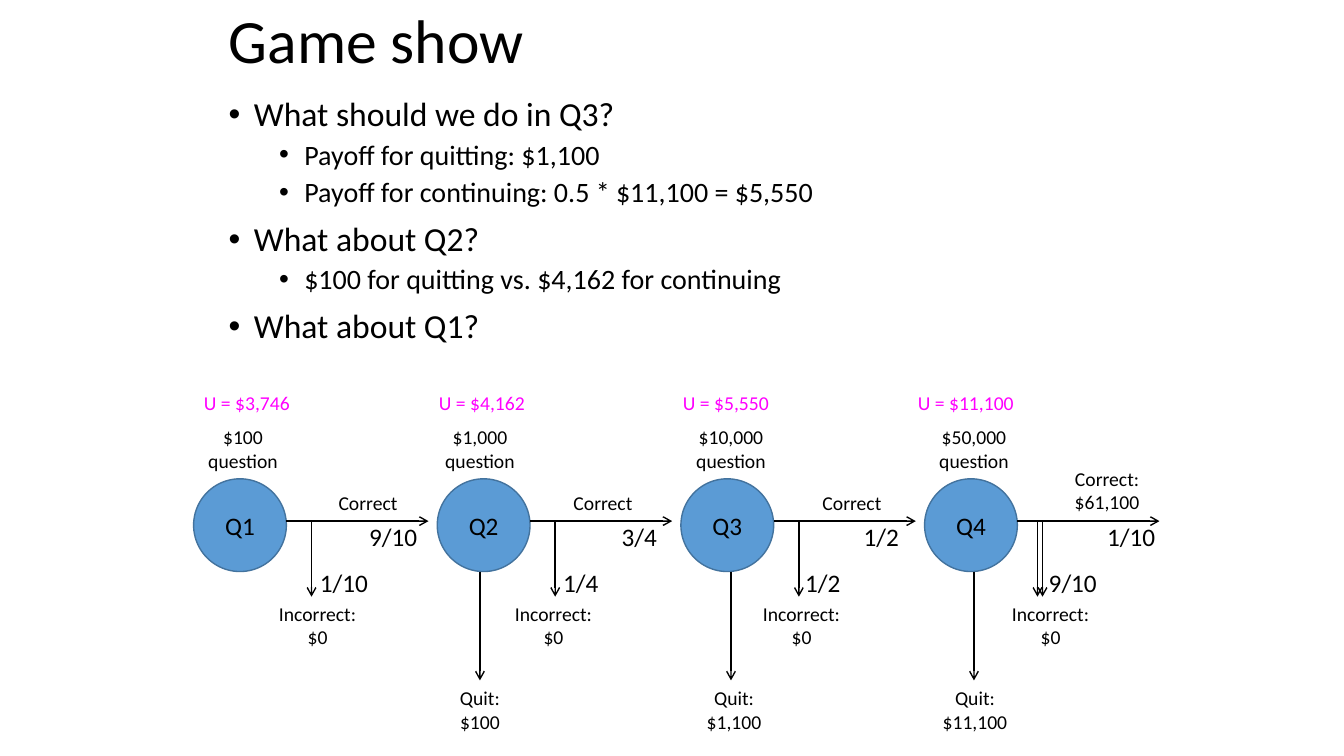
from pptx import Presentation
from pptx.util import Inches, Pt
from pptx.dml.color import RGBColor
from pptx.enum.shapes import MSO_SHAPE, MSO_CONNECTOR
from pptx.enum.text import PP_ALIGN, MSO_ANCHOR
from pptx.oxml.ns import qn
from lxml.etree import SubElement

BLACK = RGBColor(0, 0, 0)
PINK = RGBColor(0xFF, 0, 0xFF)
BLUE = RGBColor(0x5B, 0x9B, 0xD5)
EDGE = RGBColor(0x43, 0x73, 0x9E)
FONT = "Calibri"

TITLE = "Game show"
BODY = [
    (0, "What should we do in Q3?"),
    (1, "Payoff for quitting: $1,100"),
    (1, "Payoff for continuing: 0.5 * $11,100 = $5,550"),
    (0, "What about Q2?"),
    (1, "$100 for quitting vs. $4,162 for continuing"),
    (0, "What about Q1?"),
]
LEVELS = [(24, 10, 0.25), (20, 5, 0.75)]

# Each label: text, centre across the slide
STAGES = [
    dict(util=("U = $3,746", 2.45), prize=("$100 question", 2.41),
         right=("Correct", 3.65), wrong=("Incorrect:\n$0", 3.15),
         win=("9/10", 3.9), lose=("1/10", 3.41)),
    dict(util=("U = $4,162", 4.78), prize=("$1,000 question", 4.76),
         right=("Correct", 5.98), wrong=("Incorrect:\n$0", 5.49),
         win=("3/4", 6.34), lose=("1/4", 5.76), quit=("Quit:\n$100", 4.76)),
    dict(util=("U = $5,550", 7.2), prize=("$10,000 question", 7.25),
         right=("Correct", 8.45), wrong=("Incorrect:\n$0", 7.95),
         win=("1/2", 8.74), lose=("1/2", 8.16), quit=("Quit:\n$1,100", 7.28)),
    dict(util=("U = $11,100", 9.58), prize=("$50,000 question", 9.66),
         right=("Correct:\n$61,100", 10.98), wrong=("Incorrect:\n$0", 10.42),
         win=("1/10", 11.22), lose=("9/10", 10.64), quit=("Quit:\n$11,100", 9.67)),
]

# Each kind of label: top, width, height, size, colour, wrap
KINDS = dict(
    util=(3.83, 1.16, 0.34, 14, PINK, False),
    prize=(4.17, 1.18, 0.57, 14, BLACK, True),
    right=(4.82, 0.91, 0.34, 14, BLACK, False),
    wrong=(5.92, 0.97, 0.57, 14, BLACK, False),
    win=(5.12, 0.68, 0.4, 18, BLACK, False),
    lose=(5.58, 0.68, 0.4, 18, BLACK, False),
    quit=(6.76, 0.85, 0.57, 14, BLACK, False),
)
LEFT, TOP, SIZE, PITCH = 1.92, 4.75, 0.92, 29 / 12
AXIS, DROP, EXIT = 5.17, 5.92, 6.75
ROW = 0.24

deck = Presentation()
deck.slide_width, deck.slide_height = Inches(13.33), Inches(7.5)
slide = deck.slides.add_slide(deck.slide_layouts[6])


def add_run(para, text, size, color=BLACK):
    run = para.add_run()
    run.text = text
    run.font.name, run.font.size = FONT, Pt(size)
    run.font.color.rgb = color


def add_box(x, y, w, h, wrap=True):
    box = slide.shapes.add_textbox(Inches(x), Inches(y), Inches(w), Inches(h))
    box.text_frame.word_wrap = wrap
    return box.text_frame


def next_para(frame, i):
    return frame.add_paragraph() if i else frame.paragraphs[0]


def add_label(kind, text, mid):
    top, w, h, size, color, wrap = KINDS[kind]
    lines = text.split("\n")
    if kind == "right":
        grow = ROW * (len(lines) - 1)
        top, h = top - grow, h + grow
    frame = add_box(mid - w / 2, top, w, h, wrap)
    for i, line in enumerate(lines):
        para = next_para(frame, i)
        para.alignment = PP_ALIGN.CENTER
        add_run(para, line, size, color)


def add_arrow(x1, y1, x2, y2):
    arrow = slide.shapes.add_connector(
        MSO_CONNECTOR.STRAIGHT, Inches(x1), Inches(y1), Inches(x2), Inches(y2))
    arrow.line.color.rgb, arrow.line.width = BLACK, Pt(1)
    SubElement(arrow.line._get_or_add_ln(), qn("a:tailEnd"), type="arrow")
    SubElement(arrow._element.spPr, qn("a:effectLst"))


def add_node(x, name):
    node = slide.shapes.add_shape(
        MSO_SHAPE.OVAL, Inches(x), Inches(TOP), Inches(SIZE), Inches(SIZE))
    node.shadow.inherit = False
    node.fill.solid()
    node.fill.fore_color.rgb = BLUE
    node.line.color.rgb, node.line.width = EDGE, Pt(1)
    node.text_frame.vertical_anchor = MSO_ANCHOR.MIDDLE
    para = node.text_frame.paragraphs[0]
    para.alignment = PP_ALIGN.CENTER
    add_run(para, name, 18)


head = add_box(2.17, 0, 9, 0.87)
head.vertical_anchor = MSO_ANCHOR.MIDDLE
head.paragraphs[0].line_spacing = 0.9
add_run(head.paragraphs[0], TITLE, 44)

body = add_box(2.17, 0.92, 9, 3)
for i, (level, text) in enumerate(BODY):
    size, gap, inset = LEVELS[level]
    para = next_para(body, i)
    para.level, para.line_spacing, para.space_before = level, 0.9, Pt(gap)
    props = para._p.get_or_add_pPr()
    props.set("marL", str(Inches(inset)))
    props.set("indent", str(Inches(-0.25)))
    SubElement(props, qn("a:buFont"), typeface="Arial")
    SubElement(props, qn("a:buChar"), char="•")
    add_run(para, text, size)

for i, stage in enumerate(STAGES):
    x = LEFT + i * PITCH
    add_node(x, f"Q{i + 1}")
    add_arrow(x + SIZE, AXIS, x + 2.33, AXIS)
    add_arrow(x + 1.17, AXIS, x + 1.17, DROP)
    if "quit" in stage:
        mid = stage["prize"][1]
        add_arrow(mid, TOP + SIZE, mid, EXIT)
    for kind, (text, mid) in stage.items():
        add_label(kind, text, mid)
add_arrow(x + 1.12, AXIS, x + 1.12, DROP)

deck.save("out.pptx")
